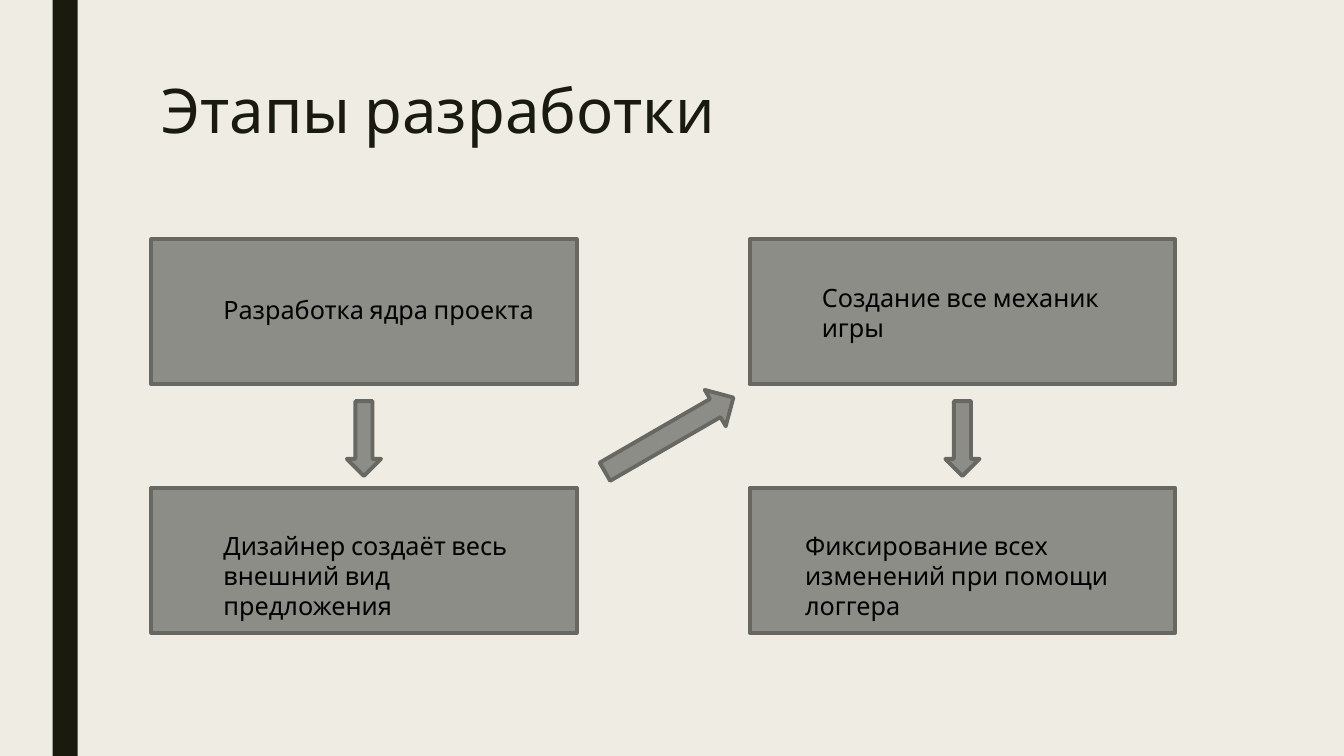
from pptx import Presentation
from pptx import util as u
from pptx.dml.color import RGBColor
from pptx.enum import shapes, text

Pt = u.Pt


def rgb(value):
    return RGBColor.from_string(value)


def write(tf, content, size=18, color="000000", font="Cabin", spacing=1.0):
    tf.word_wrap = True
    tf.auto_size = text.MSO_AUTO_SIZE.NONE
    tf.vertical_anchor = text.MSO_ANCHOR.TOP
    tf.margin_left = tf.margin_right = Pt(7.2)
    tf.margin_top = tf.margin_bottom = Pt(3.6)
    p = tf.paragraphs[0]
    p.alignment = text.PP_ALIGN.LEFT
    p.line_spacing = spacing
    r = p.add_run()
    r.text = content
    r.font.name = font
    r.font.size = Pt(size)
    r.font.color.rgb = rgb(color)


class Deck:
    background = "EFEDE3"
    dark = "191B0E"
    fill = "8C8D86"
    outline = "686863"

    def __init__(self, width, height):
        self.prs = Presentation()
        self.prs.slide_width, self.prs.slide_height = Pt(width), Pt(height)
        self.s = self.prs.slides.add_slide(self.prs.slide_layouts[5])
        bg = self.s.background.fill
        bg.solid()
        bg.fore_color.rgb = rgb(self.background)

    def title(self, content, x, y, w, h):
        sp = self.s.shapes.title
        sp.left, sp.top, sp.width, sp.height = map(Pt, (x, y, w, h))
        write(sp.text_frame, content, size=44, color=self.dark, spacing=0.89)

    def shape(self, kind, x, y, w, h, fill=fill, line=outline, rotation=0):
        sp = self.s.shapes.add_shape(kind, Pt(x), Pt(y), Pt(w), Pt(h))
        sp.shadow.inherit = False
        sp.rotation = rotation
        sp.fill.solid()
        sp.fill.fore_color.rgb = rgb(fill)
        if line:
            sp.line.color.rgb = rgb(line)
            sp.line.width = Pt(2.75)
        else:
            sp.line.fill.background()

    def label(self, content, x, y, w, h):
        sp = self.s.shapes.add_textbox(Pt(x), Pt(y), Pt(w), Pt(h))
        write(sp.text_frame, content)


def main():
    kind = shapes.MSO_SHAPE
    deck = Deck(960, 540)
    deck.shape(kind.RECTANGLE, 37.5, 0, 18, 540, fill=deck.dark, line=None)
    deck.title("Этапы разработки", 108, 54, 756, 117)

    box_w, box_h, arrow_w = 304, 103.5, 24.5
    columns, rows = (108, 535.5), (171, 348.5)
    stages = [
        (0, 0, "Разработка ядра проекта", 44.5, 36, 304, 29),
        (0, 1, "Дизайнер создаёт весь внешний вид предложения", 44.5, 26.5, 232, 51),
        (1, 0, "Создание все механик игры", 44.5, 27, 227.5, 51),
        (1, 1, "Фиксирование всех изменений при помощи логгера", 32.5, 26.5, 271.5, 51),
    ]
    for col, row, content, dx, dy, w, h in stages:
        x, y = columns[col], rows[row]
        deck.shape(kind.RECTANGLE, x, y, box_w, box_h)
        deck.label(content, x + dx, y + dy, w, h)

    for x in columns:
        deck.shape(kind.DOWN_ARROW, x + (box_w - arrow_w) / 2, 286.5, arrow_w, 53.5)
    deck.shape(kind.RIGHT_ARROW, 425, 295.5, 106, 30, rotation=330)

    deck.prs.save("out.pptx")


if __name__ == "__main__":
    main()
